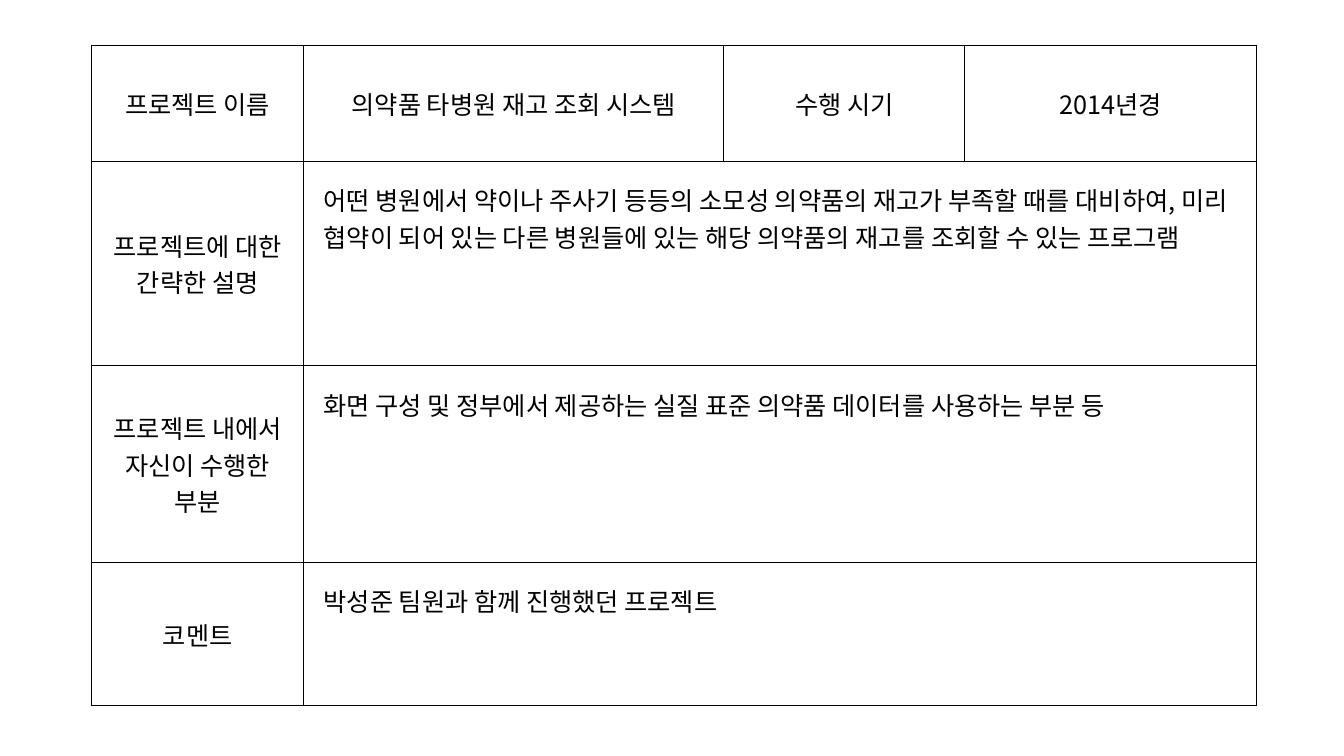
from typing import NamedTuple

from lxml.etree import SubElement
from pptx import Presentation
from pptx.dml.color import RGBColor
from pptx.enum.text import MSO_ANCHOR, PP_ALIGN
from pptx.oxml import parse_xml
from pptx.oxml.ns import qn
from pptx.util import Inches, Pt

FONT = "Noto Sans CJK KR"
INK = "000000"
PAPER = "FFFFFF"
LEFT, TOP = 0.91, 0.45
COLS = [2.1, 4.17, 2.39, 2.89]
ROWS = [1.15, 2.03, 1.95, 1.42]
PAD = Inches(0.2)


class Entry(NamedTuple):
    label: str
    body: str


HEAD = ["프로젝트 이름", "의약품 타병원 재고 조회 시스템", "수행 시기", "2014년경"]
ENTRIES = [
    Entry("프로젝트에 대한 간략한 설명",
          "어떤 병원에서 약이나 주사기 등등의 소모성 의약품의 재고가 부족할 때를 "
          "대비하여, 미리 협약이 되어 있는 다른 병원들에 있는 해당 의약품의 재고를 "
          "조회할 수 있는 프로그램"),
    Entry("프로젝트 내에서 자신이 수행한 부분",
          "화면 구성 및 정부에서 제공하는 실질 표준 의약품 데이터를 사용하는 부분 등"),
    Entry("코멘트", "박성준 팀원과 함께 진행했던 프로젝트"),
]


def color(code: str) -> RGBColor:
    return RGBColor.from_string(code)


def frame(cell) -> None:
    """Fill the cell and rule its four sides."""
    cell.fill.solid()
    cell.fill.fore_color.rgb = color(PAPER)
    props = cell._tc.get_or_add_tcPr()
    for spot, side in enumerate("LRTB"):
        props.insert(spot, parse_xml(
            f'<a:ln{side} xmlns:a="http://schemas.openxmlformats.org/drawingml/2006/main"'
            f' w="{Pt(1)}"><a:solidFill><a:srgbClr val="{INK}"/></a:solidFill></a:ln{side}>'))


def write(cell, text: str) -> None:
    para = cell.text_frame.paragraphs[0]
    run = para.add_run()
    run.text = text
    run.font.size = Pt(18)
    run.font.name = FONT
    run.font.color.rgb = color(INK)
    SubElement(run.font._element, qn("a:ea"), typeface=FONT)


def center(cell, text: str) -> None:
    write(cell, text)
    cell.vertical_anchor = MSO_ANCHOR.MIDDLE
    cell.text_frame.paragraphs[0].alignment = PP_ALIGN.CENTER


def detail(cell, text: str) -> None:
    write(cell, text)
    cell.margin_left = cell.margin_right = PAD
    cell.margin_top = cell.margin_bottom = PAD


deck = Presentation()
deck.slide_width, deck.slide_height = Inches(13.33), Inches(7.5)
slide = deck.slides.add_slide(deck.slide_layouts[6])

# Table grid
table = slide.shapes.add_table(
    len(ROWS), len(COLS), Inches(LEFT), Inches(TOP),
    Inches(sum(COLS)), Inches(sum(ROWS))).table
table.first_row = table.horz_banding = False
for col, width in zip(table.columns, COLS):
    col.width = Inches(width)
for row, height in zip(table.rows, ROWS):
    row.height = Inches(height)
for cell in table.iter_cells():
    frame(cell)

# Project name and date
for spot, text in enumerate(HEAD):
    center(table.cell(0, spot), text)

# Labels with merged detail cells
for line, entry in enumerate(ENTRIES, 1):
    center(table.cell(line, 0), entry.label)
    body = table.cell(line, 1)
    body.merge(table.cell(line, len(COLS) - 1))
    detail(body, entry.body)

deck.save("out.pptx")
